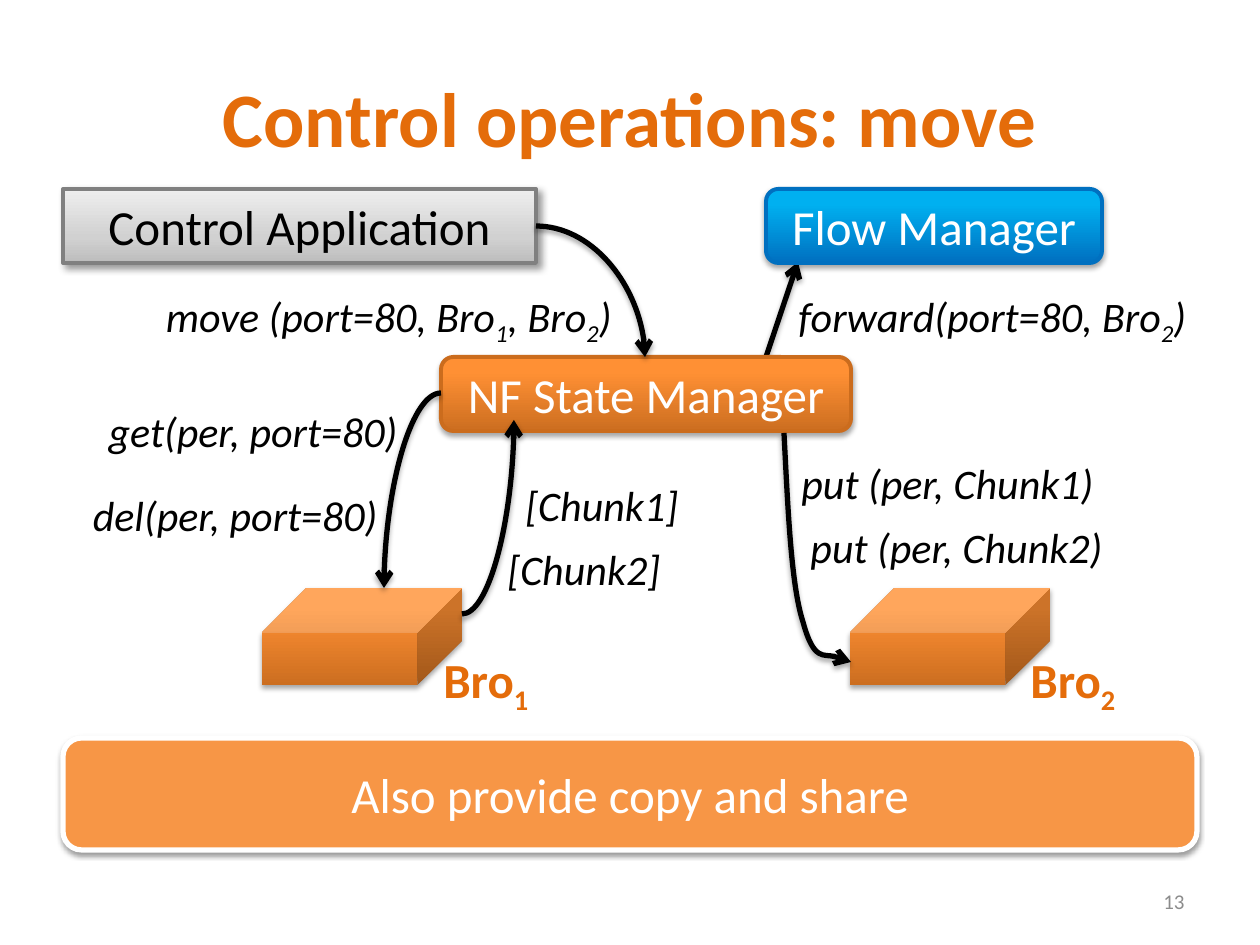
from dataclasses import dataclass
from typing import NamedTuple

from lxml.etree import SubElement
from pptx import Presentation
from pptx.dml.color import RGBColor
from pptx.enum.shapes import MSO_CONNECTOR, MSO_SHAPE
from pptx.enum.text import MSO_ANCHOR, PP_ALIGN
from pptx.oxml.ns import qn
from pptx.util import Emu, Pt

SCALE = 914400 / 126
LEFT, MID, RIGHT = PP_ALIGN.LEFT, PP_ALIGN.CENTER, PP_ALIGN.RIGHT


@dataclass(frozen=True)
class Theme:
    font: str = "Calibri"
    black: str = "000000"
    white: str = "FFFFFF"
    accent: str = "E46C0A"
    faint: str = "8C8C8C"
    edge: str = "CB6C1D"
    grey: str = "808080"
    blue: str = "0070C0"
    banner: tuple = ((0, "F79646"),)
    orange: tuple = ((0, "CC6E20"), (80, "FF9034"), (100, "FF9136"))
    silver: tuple = ((0, "BDBDBD"), (35, "D1D1D1"), (100, "EEEEEE"))
    sky: tuple = ((0, "0070C0"), (80, "00B0F0"), (100, "00B0F0"))
    title: int = 44
    large: int = 28
    label: int = 24
    small: int = 12
    border: float = 2.25
    stroke: float = 3


THEME = Theme()


class Shade(NamedTuple):
    alpha: int = 35
    blur: float = 3.1
    dist: float = 1.8
    angle: int = 90


class Box(NamedTuple):
    kind: MSO_SHAPE
    area: tuple
    fill: tuple
    edge: str = ""
    text: str = ""
    color: str = THEME.white
    width: float = THEME.border
    shade: Shade = Shade()


class Label(NamedTuple):
    text: str
    area: tuple
    align: PP_ALIGN = LEFT
    size: int = THEME.label
    color: str = THEME.black
    bold: bool = False
    slant: bool = True


class Arrow(NamedTuple):
    start: tuple
    end: tuple
    curved: bool = True


ROUND, CUBE = MSO_SHAPE.ROUNDED_RECTANGLE, MSO_SHAPE.CUBE
BOXES = [
    Box(CUBE, (262, 588, 200, 97), THEME.orange),
    Box(ROUND, (441, 357, 410, 74), THEME.orange, THEME.edge, "NF State Manager"),
    Box(CUBE, (850, 588, 200, 97), THEME.orange),
    Box(MSO_SHAPE.RECTANGLE, (63, 189, 473, 74), THEME.silver, THEME.grey,
        "Control Application", THEME.black, shade=Shade(40, 4, 3, 45)),
    Box(ROUND, (766, 189, 336, 74), THEME.sky, THEME.blue, "Flow Manager"),
    Box(ROUND, (63, 738, 1134, 112), THEME.banner, THEME.white,
        "Also provide copy and share", width=THEME.stroke, shade=Shade(38, 3.1, 1.6)),
]
LABELS = [
    Label("move (port=80, Bro_1, Bro_2)", (145, 284, 479, 63), RIGHT),
    Label("forward(port=80, Bro_2)", (786, 284, 420, 63)),
    Label("get(per, port=80)", (92, 399, 318, 63), RIGHT),
    Label("del(per, port=80)", (76, 483, 314, 63), RIGHT),
    Label("[Chunk1]", (513, 473, 180, 63)),
    Label("[Chunk2]", (495, 537, 180, 63)),
    Label("put (per, Chunk1)", (789, 451, 320, 63)),
    Label("put (per, Chunk2)", (798, 515, 320, 63)),
] + [
    Label(f"Bro_{num}", (left, 643, 113, 72), size=THEME.large,
          color=THEME.accent, bold=True, slant=False)
    for num, left in ((1, 431), (2, 1018))
]
ROUTE = Arrow((766, 357), (798, 262), False)
CURVES = [
    Arrow((441, 393), (384, 588)),
    Arrow((462, 614), (514, 420)),
    Arrow((536, 226), (645, 357)),
]
BEND = [(784, 433), (788, 509), (791, 585), (803, 622),
        (814, 662), (840, 654), (851, 662)]


def px(*nums: int) -> list:
    return [Emu(round(num * SCALE)) for num in nums]


def add(node, tag: str, **attrs):
    return SubElement(node, qn(f"a:{tag}"), {key: str(val) for key, val in attrs.items()})


def write(frame, text: str, *, size: int, color: str, align=LEFT,
          bold=False, slant=False, anchor=MSO_ANCHOR.TOP, wrap=True) -> None:
    frame.word_wrap, frame.vertical_anchor = wrap, anchor
    para = frame.paragraphs[0]
    para.alignment = align
    head, *tails = text.split("_")
    parts = [(head, False)]
    for tail in tails:
        parts += [(tail[0], True), (tail[1:], False)]
    for part, sub in parts:
        if not part:
            continue
        run = para.add_run()
        run.text = part
        font = run.font
        font.name, font.size, font.bold, font.italic = THEME.font, Pt(size), bold, slant
        font.color.rgb = RGBColor.from_string(color)
        if sub:
            run._r.get_or_add_rPr().set("baseline", "-25000")


def paint(shape, stops: tuple) -> None:
    fill = shape.fill
    if len(stops) == 1:
        fill.solid()
        fill.fore_color.rgb = RGBColor.from_string(stops[0][1])
        return
    fill.gradient()
    fill.gradient_angle = 90
    nodes = shape._element.spPr.find(qn("a:gradFill")).find(qn("a:gsLst"))
    for node in list(nodes):
        nodes.remove(node)
    for pos, color in stops:
        add(add(nodes, "gs", pos=pos * 1000), "srgbClr", val=color)


def cast(shape, shade: Shade) -> None:
    props = shape._element.spPr
    node = props.find(qn("a:effectLst"))
    if node is None:
        node = add(props, "effectLst")
    drop = add(node, "outerShdw", blurRad=Pt(shade.blur), dist=Pt(shade.dist),
               dir=shade.angle * 60000, rotWithShape=0)
    add(add(drop, "srgbClr", val=THEME.black), "alpha", val=shade.alpha * 1000)


def ink(shape, color: str, width: float) -> None:
    shape.line.color.rgb = RGBColor.from_string(color)
    shape.line.width = Pt(width)


def point(shape) -> None:
    ink(shape, THEME.black, THEME.stroke)
    add(shape.line._get_or_add_ln(), "tailEnd", type="arrow")
    cast(shape, Shade())


def draw_box(slide, box: Box) -> None:
    shape = slide.shapes.add_shape(box.kind, *px(*box.area))
    if box.kind == CUBE:
        shape.adjustments[0] = 0.46
    paint(shape, box.fill)
    if box.edge:
        ink(shape, box.edge, box.width)
    else:
        shape.line.fill.background()
    shape.shadow.inherit = False
    cast(shape, box.shade)
    if box.text:
        write(shape.text_frame, box.text, size=THEME.large, color=box.color,
              align=MID, anchor=MSO_ANCHOR.MIDDLE)


def draw_label(slide, label: Label, **style) -> None:
    frame = slide.shapes.add_textbox(*px(*label.area)).text_frame
    write(frame, label.text, size=label.size, color=label.color, align=label.align,
          bold=label.bold, slant=label.slant, **{"wrap": False, **style})


def draw_arrow(slide, arrow: Arrow) -> None:
    kind = MSO_CONNECTOR.CURVE if arrow.curved else MSO_CONNECTOR.STRAIGHT
    line = slide.shapes.add_connector(kind, *px(*arrow.start, *arrow.end))
    if arrow.curved:
        line._element.spPr.find(qn("a:prstGeom")).set("prst", "curvedConnector2")
    point(line)


def draw_bend(slide, dots: list) -> None:
    pen = slide.shapes.build_freeform(*dots[0], scale=SCALE)
    pen.add_line_segments(dots[1:], close=False)
    shape = pen.convert_to_shape()
    shape.fill.background()
    shape.shadow.inherit = False
    point(shape)
    track = next(shape._element.iter(qn("a:path")))
    steps = track.findall(qn("a:lnTo"))
    for first in range(0, len(steps), 3):
        curve = add(track, "cubicBezTo")
        for step in steps[first:first + 3]:
            curve.append(step[0])
            track.remove(step)


def main() -> None:
    deck = Presentation()
    deck.slide_width, deck.slide_height = px(1260, 945)
    slide = deck.slides.add_slide(deck.slide_layouts[6])
    draw_arrow(slide, ROUTE)
    for box in BOXES:
        draw_box(slide, box)
    for arrow in CURVES:
        draw_arrow(slide, arrow)
    draw_bend(slide, BEND)
    for label in LABELS:
        draw_label(slide, label)
    for label in (
        Label("Control operations: move", (63, 38, 1134, 157), MID,
              THEME.title, THEME.accent, True, False),
        Label("13", (903, 876, 294, 50), RIGHT, THEME.small, THEME.faint, slant=False),
    ):
        draw_label(slide, label, wrap=True, anchor=MSO_ANCHOR.MIDDLE)
    deck.save("out.pptx")


if __name__ == "__main__":
    main()
